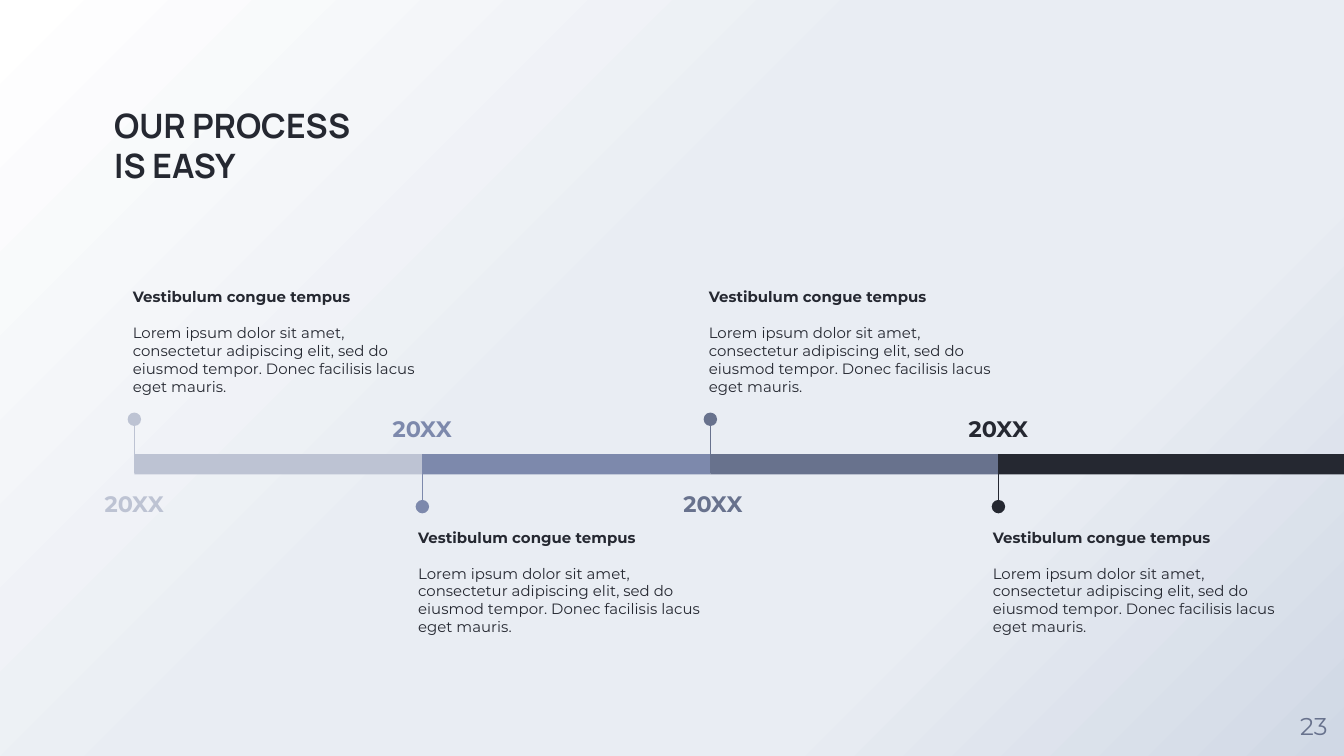
from dataclasses import dataclass

import lxml.etree
import pptx
import pptx.dml.color
import pptx.enum.shapes
import pptx.enum.text
import pptx.oxml.ns
import pptx.util

COLORS = {
    "ink": "252831", "slate": "68728D", "blue": "7D89AC", "mist": "BDC3D3",
    "white": "FFFFFF", "haze": "E9EDF3", "steel": "D0D8E5",
}
GRADIENT_STOPS = ((0, "white"), (44, "haze"), (72, "haze"), (100, "steel"))

# The slide is a grid of square cells: 100 columns by 56.25 rows.
COLUMNS, ROWS = 100, 56.25
CELL = pptx.util.Inches(10) / COLUMNS
FIRST_NODE, NODE_STEP = 10, 21.43
BAR_TOP, BAR_HEIGHT = 33.8, 1.5
DOT = 1
YEAR_WIDTH, YEAR_HEIGHT = 9, 4.1
CAPTION_WIDTH, CAPTION_HEIGHT = 24.6, 10.3

HEADING = "Vestibulum congue tempus"
BODY = ("Lorem ipsum dolor sit amet, consectetur adipiscing elit, "
        "sed do eiusmod tempor. Donec facilisis lacus eget mauris.")


@dataclass(frozen=True)
class Layout:
    """Rows used by a step, for captions above or below the bar."""
    stem_top: float
    stem_bottom: float
    dot_top: float
    year_top: float
    caption_top: float


@dataclass(frozen=True)
class Step:
    year: str
    color: str
    layout: Layout
    caption_shift: float
    year_shift: float = 0


@dataclass(frozen=True)
class Line:
    text: str
    bold: bool = False
    before: float = 0


ABOVE = Layout(31.3, 35.2, 30.7, 35.2, 20.4)
BELOW = Layout(33.8, 37.7, 37.2, 29.6, 38.3)
STEPS = (
    Step("20XX", "mist", ABOVE, -1.1),
    Step("20XX", "blue", BELOW, -1.3),
    Step("20XX", "slate", ABOVE, -1.1, 0.2),
    Step("20XX", "ink", BELOW, -1.4),
)


def cells(count: float) -> int:
    return round(count * CELL)


def rgb(color: str) -> pptx.dml.color.RGBColor:
    return pptx.dml.color.RGBColor.from_string(COLORS[color])


def add_text(slide, lines: tuple[Line, ...], left: float, top: float,
             width: float, height: float, *, size: float, color: str,
             font: str = "Montserrat", align: str = "LEFT",
             anchor: str = "TOP", inset: float = 0,
             spacing: float = 1.0) -> None:
    frame = slide.shapes.add_textbox(
        cells(left), cells(top), cells(width), cells(height)).text_frame
    frame.word_wrap = True
    frame.vertical_anchor = getattr(pptx.enum.text.MSO_ANCHOR, anchor)
    frame.margin_left = frame.margin_right = cells(inset)
    frame.margin_top = frame.margin_bottom = cells(inset)
    for index, line in enumerate(lines):
        paragraph = frame.add_paragraph() if index else frame.paragraphs[0]
        paragraph.alignment = getattr(pptx.enum.text.PP_ALIGN, align)
        paragraph.line_spacing = spacing
        paragraph.space_before = pptx.util.Pt(line.before)
        run = paragraph.add_run()
        run.text = line.text
        run.font.name = font
        run.font.size = pptx.util.Pt(size)
        run.font.bold = line.bold
        run.font.color.rgb = rgb(color)


def add_filled(slide, preset: str, left: float, top: float, width: float,
               height: float, color: str) -> None:
    shape = slide.shapes.add_shape(
        getattr(pptx.enum.shapes.MSO_SHAPE, preset),
        cells(left), cells(top), cells(width), cells(height))
    shape.shadow.inherit = False
    shape.fill.solid()
    shape.fill.fore_color.rgb = rgb(color)
    shape.line.fill.background()


def add_stem(slide, x: float, top: float, bottom: float, color: str) -> None:
    stem = slide.shapes.add_connector(
        pptx.enum.shapes.MSO_CONNECTOR.STRAIGHT,
        cells(x), cells(top), cells(x), cells(bottom))
    stem.line.color.rgb = rgb(color)
    stem.line.width = pptx.util.Pt(0.75)
    lxml.etree.SubElement(stem.element.spPr, pptx.oxml.ns.qn("a:effectLst"))


def add_step(slide, step: Step, x: float, end: float) -> None:
    layout = step.layout
    add_filled(slide, "RECTANGLE", x, BAR_TOP, end - x, BAR_HEIGHT, step.color)
    add_stem(slide, x, layout.stem_top, layout.stem_bottom, step.color)
    add_filled(slide, "OVAL", x - DOT / 2, layout.dot_top, DOT, DOT, step.color)
    add_text(slide, (Line(step.year, bold=True),),
             x - YEAR_WIDTH / 2 + step.year_shift, layout.year_top,
             YEAR_WIDTH, YEAR_HEIGHT, size=12, color=step.color,
             align="CENTER", inset=1, spacing=1.15)
    add_text(slide, (Line(HEADING, bold=True), Line(BODY, before=9.7)),
             x + step.caption_shift, layout.caption_top,
             CAPTION_WIDTH, CAPTION_HEIGHT, size=8, color="ink", inset=1)


def set_background(slide) -> None:
    """Fill the background with a gradient spreading from the top left."""
    qn = pptx.oxml.ns.qn
    slide.background.fill.gradient()
    gradient = next(slide.element.iter(qn("a:gradFill")))
    for child in list(gradient):
        gradient.remove(child)
    stops = lxml.etree.SubElement(gradient, qn("a:gsLst"))
    for position, color in GRADIENT_STOPS:
        stop = lxml.etree.SubElement(stops, qn("a:gs"), pos=str(position * 1000))
        lxml.etree.SubElement(stop, qn("a:srgbClr"), val=COLORS[color])
    spread = lxml.etree.SubElement(gradient, qn("a:path"))
    spread.set("path", "circle")
    lxml.etree.SubElement(spread, qn("a:fillToRect"), r="100000", b="100000")


def main() -> None:
    deck = pptx.Presentation()
    deck.slide_width, deck.slide_height = cells(COLUMNS), cells(ROWS)
    slide = deck.slides.add_slide(deck.slide_layouts[6])
    set_background(slide)
    add_text(slide, (Line("OUR PROCESS IS EASY", bold=True),),
             8.5, 4.4, 18.2, 9.4, size=18, color="ink", font="Manrope",
             anchor="BOTTOM")
    add_text(slide, (Line("23"),), 95.5, 51.75, 4.5, 4.5, size=13,
             color="slate", align="CENTER", anchor="MIDDLE")
    nodes = [FIRST_NODE + NODE_STEP * i for i in range(len(STEPS))]
    for step, x, end in zip(STEPS, nodes, nodes[1:] + [COLUMNS]):
        add_step(slide, step, x, end)
    deck.save("out.pptx")


if __name__ == "__main__":
    main()
